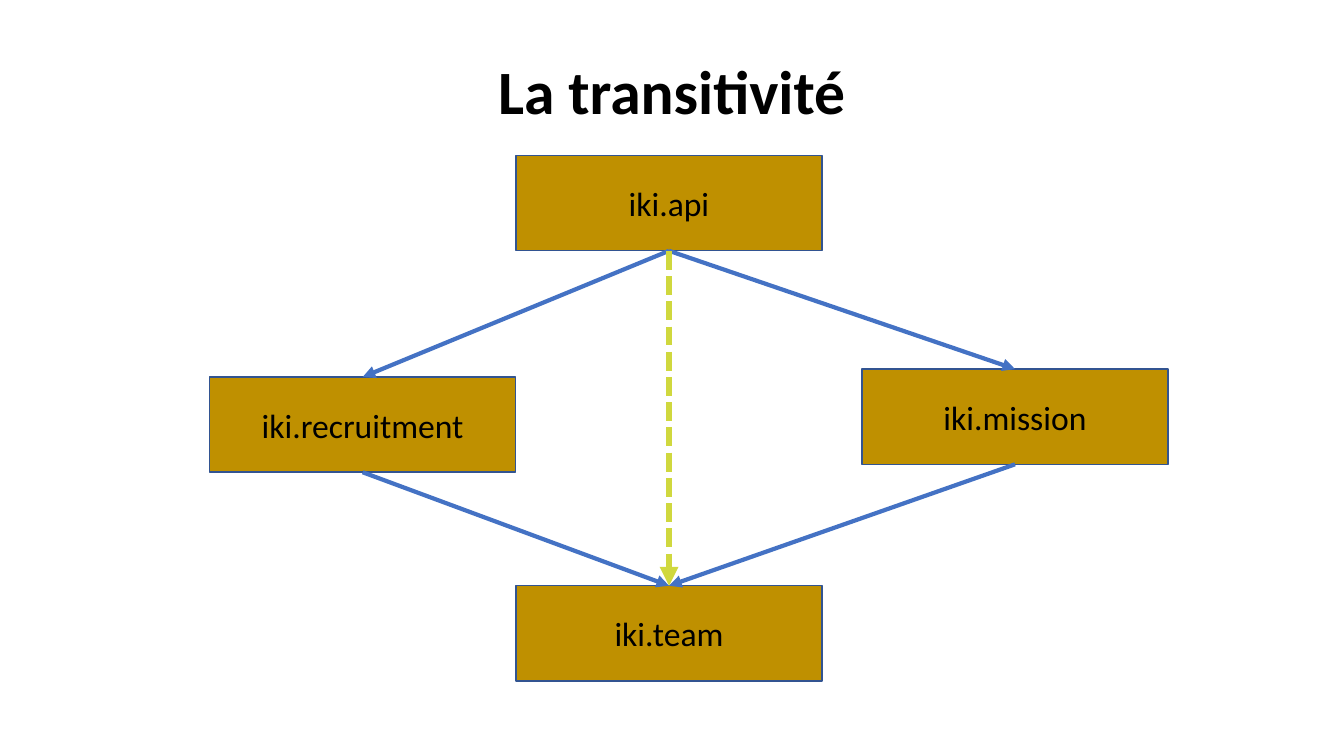
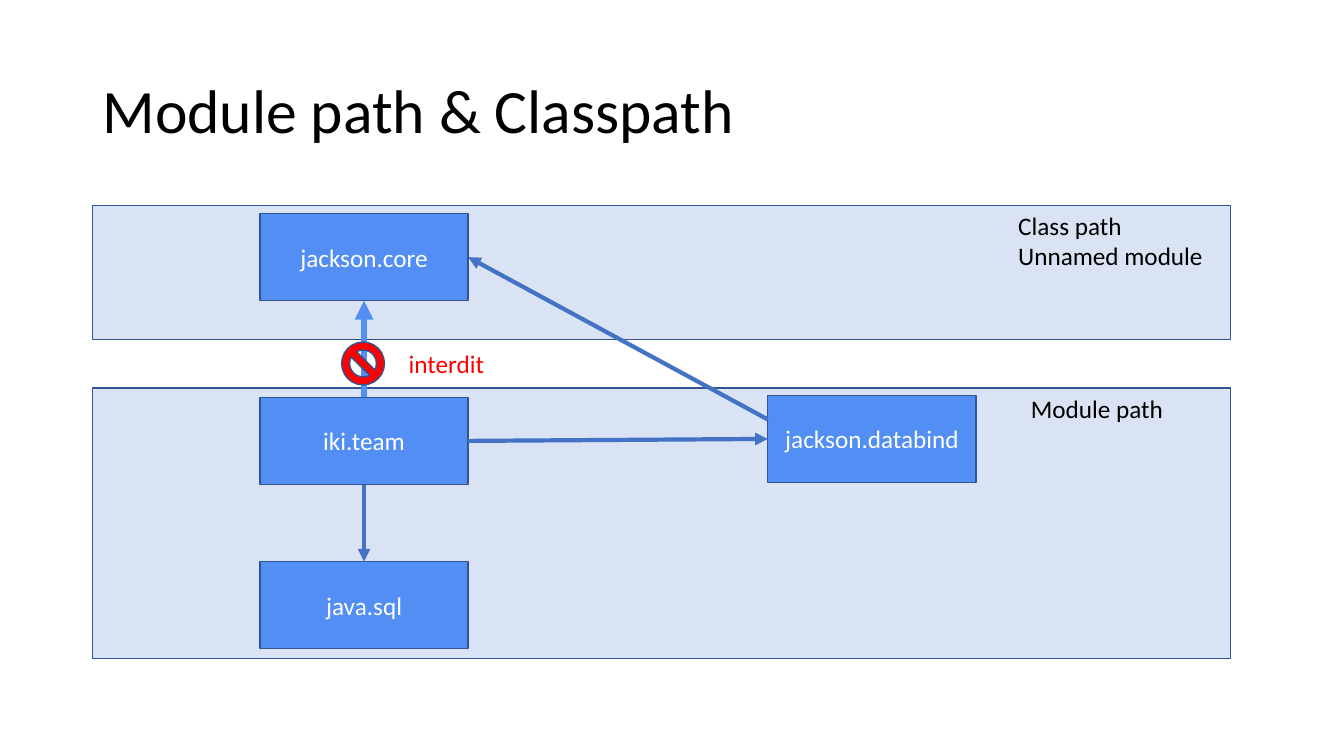
from lxml import etree
from pptx import Presentation
from pptx.dml.color import RGBColor
from pptx.enum.dml import MSO_LINE
from pptx.enum.shapes import MSO_CONNECTOR, MSO_SHAPE
from pptx.enum.text import MSO_ANCHOR, MSO_AUTO_SIZE, PP_ALIGN
from pptx.oxml.ns import qn
from pptx.util import Cm, Pt

RECTANGLE, NO_SYMBOL = MSO_SHAPE.RECTANGLE, MSO_SHAPE.NO_SYMBOL
STRAIGHT, SYSTEM_DASH = MSO_CONNECTOR.STRAIGHT, MSO_LINE.SQUARE_DOT
LEFT, CENTER, MIDDLE = PP_ALIGN.LEFT, PP_ALIGN.CENTER, MSO_ANCHOR.MIDDLE
FIT_SHAPE = MSO_AUTO_SIZE.SHAPE_TO_FIT_TEXT
SITE_TOP, SITE_LEFT, SITE_BOTTOM, SITE_RIGHT = range(4)

FONT = "Calibri"
BLACK, WHITE, RED = "000000", "FFFFFF", "FF0000"
OUTLINE, BLUE, LIGHT_BLUE, PALE_BLUE = "325491", "4472C4", "528EF4", "DAE3F3"
GOLD, LIME = "BF9000", "D0D83E"
color = RGBColor.from_string


def add_box(page, left, top, width, height, fill, text="", size=18,
            text_color=WHITE, kind=RECTANGLE):
    """Add an outlined preset shape with centred text; lengths are in cm."""
    box = page.shapes.add_shape(kind, Cm(left), Cm(top), Cm(width), Cm(height))
    box.shadow.inherit = False
    box.fill.solid()
    box.fill.fore_color.rgb = color(fill)
    box.line.color.rgb = color(OUTLINE)
    box.line.width = Pt(1)
    if text:
        box.text_frame.text = text
        box.text_frame.vertical_anchor = MIDDLE
        para = box.text_frame.paragraphs[0]
        para.alignment = CENTER
        font = para.runs[0].font
        font.name, font.size = FONT, Pt(size)
        font.color.rgb = color(text_color)
    return box


def add_arrow(page, source, source_site, target, target_site,
              line_color=BLUE, width=3, dash=None, start=(0, 0)):
    """Join two boxes; with no source site the arrow leaves from start, in cm."""
    x, y = Cm(start[0]), Cm(start[1])
    arrow = page.shapes.add_connector(STRAIGHT, x, y, x, y)
    if source_site is not None:
        arrow.begin_connect(source, source_site)
    arrow.end_connect(target, target_site)
    arrow.line.color.rgb = color(line_color)
    arrow.line.width = Pt(width)
    if dash:
        arrow.line.dash_style = dash
    properties = arrow.element.spPr
    etree.SubElement(properties.find(qn("a:ln")), qn("a:tailEnd"), type="triangle")
    etree.SubElement(properties, qn("a:effectLst"))


deck = Presentation()
deck.slide_width, deck.slide_height = Cm(33.87), Cm(19.05)

# Titles
pages = []
for text, top, alignment, bold in [
    ("La transitivité", 0.53, CENTER, True),
    ("Module path & Classpath", 1.01, LEFT, False),
]:
    page = deck.slides.add_slide(deck.slide_layouts[5])
    title = page.shapes.title
    title.left, title.top, title.width, title.height = Cm(2.33), Cm(top), Cm(29.21), Cm(3.68)
    title.text_frame.text = text
    title.text_frame.vertical_anchor = MIDDLE
    para = title.text_frame.paragraphs[0]
    para.alignment, para.line_spacing = alignment, 0.9
    font = para.runs[0].font
    font.name, font.size, font.bold = FONT, Pt(44), bold
    font.color.rgb = color(BLACK)
    pages.append(page)
transitivity, paths = pages

# Slide 1: dependency diamond
modules = {}
for name, left, top in [
    ("iki.api", 13, 3.92),
    ("iki.team", 13, 14.76),
    ("iki.mission", 21.72, 9.3),
    ("iki.recruitment", 5.28, 9.5),
]:
    modules[name] = add_box(transitivity, left, top, 7.72, 2.4, GOLD, name, 24, BLACK)

for source, target in [
    ("iki.api", "iki.recruitment"),
    ("iki.api", "iki.mission"),
    ("iki.mission", "iki.team"),
    ("iki.recruitment", "iki.team"),
]:
    add_arrow(transitivity, modules[source], SITE_BOTTOM, modules[target], SITE_TOP)
add_arrow(transitivity, modules["iki.api"], SITE_BOTTOM, modules["iki.team"], SITE_TOP,
          LIME, 4.5, SYSTEM_DASH)

# Slide 2: one band for each path, then the modules on them
for top, height in [(5.18, 3.38), (9.78, 6.81)]:
    add_box(paths, 2.33, top, 28.68, height, PALE_BLUE)

modules = {}
for name, left, top in [
    ("jackson.core", 6.55, 5.38),
    ("iki.team", 6.55, 10.01),
    ("java.sql", 6.55, 14.15),
    ("jackson.databind", 19.35, 9.96),
]:
    modules[name] = add_box(paths, left, top, 5.25, 2.2, LIGHT_BLUE, name)
core, team, sql, databind = modules.values()

for text, left, top, height, text_color in [
    ("Module path", 25.73, 9.78, 1.03, BLACK),
    ("Class path\nUnnamed module", 25.41, 5.18, 1.8, BLACK),
    ("interdit", 10.05, 8.65, 1.03, RED),
]:
    label = paths.shapes.add_textbox(Cm(left), Cm(top), Cm(5.27), Cm(height))
    label.text_frame.word_wrap = True
    label.text_frame.auto_size = FIT_SHAPE
    label.text_frame.text = text
    for para in label.text_frame.paragraphs:
        font = para.runs[0].font
        font.name, font.size = FONT, Pt(18)
        font.color.rgb = color(text_color)

add_arrow(paths, team, SITE_BOTTOM, sql, SITE_TOP)
add_arrow(paths, team, SITE_RIGHT, databind, SITE_LEFT)
add_arrow(paths, databind, None, core, SITE_RIGHT, start=(19.35, 10.57))
add_arrow(paths, team, SITE_TOP, core, SITE_BOTTOM, LIGHT_BLUE, 4.5)
add_box(paths, 8.61, 8.62, 1.08, 1.08, RED, kind=NO_SYMBOL)

deck.save("out.pptx")
